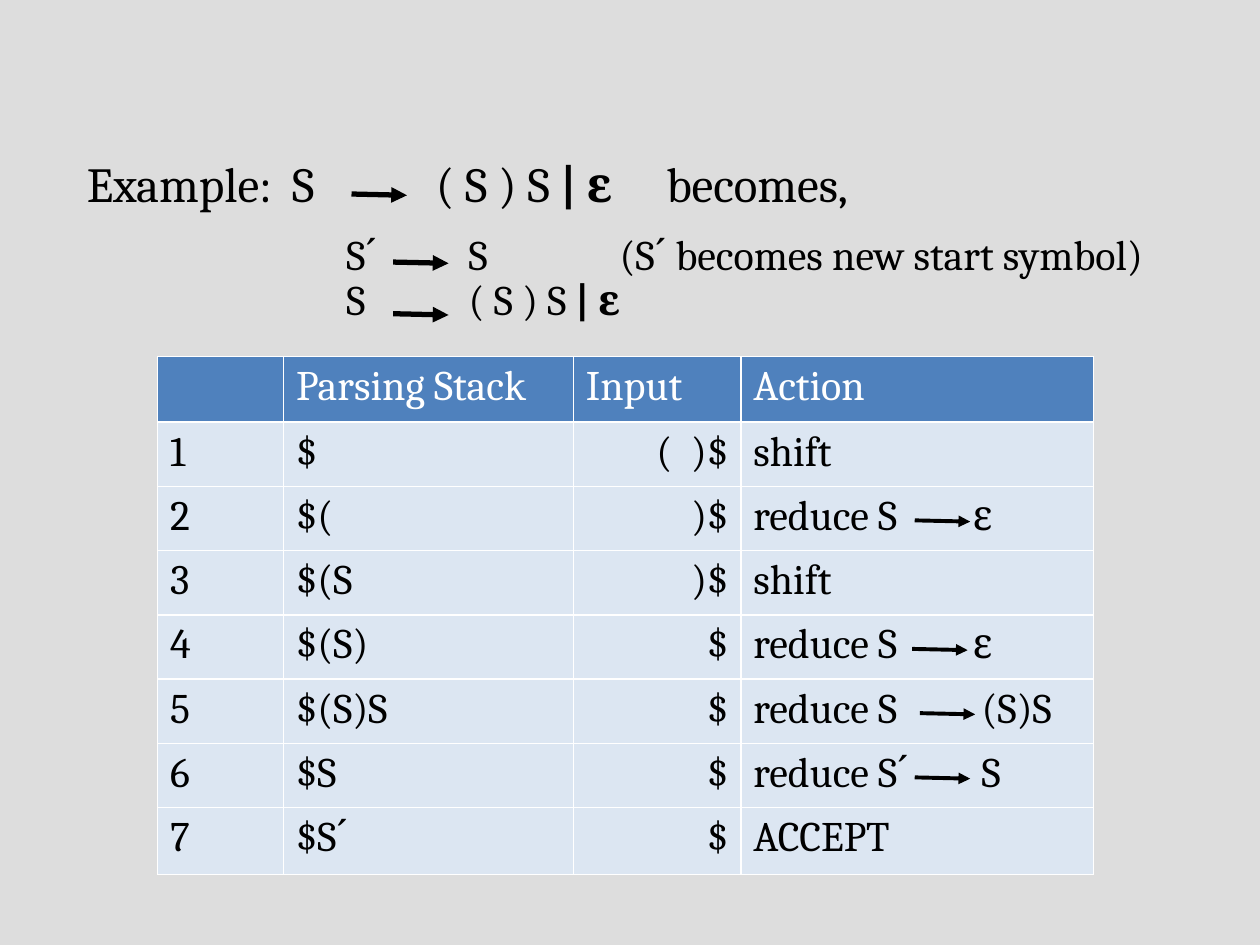
"""Build a slide showing a shift-reduce parse of a small augmented grammar."""
from pptx import Presentation
from pptx.dml.color import RGBColor
from pptx.enum.shapes import MSO_CONNECTOR
from pptx.enum.text import PP_ALIGN
from pptx.oxml.ns import qn
from pptx.util import Inches, Pt
from lxml.etree import SubElement

THEME = {
    "font": "Cambria", "lead": 28, "body": 24,
    "back": RGBColor.from_string("DDDDDD"),
    "head": RGBColor.from_string("4F81BD"),
    "row": RGBColor.from_string("DCE6F2"),
    "white": RGBColor.from_string("FFFFFF"),
    "ink": RGBColor.from_string("000000"),
}

prs = Presentation()
prs.slide_width, prs.slide_height = Inches(10), Inches(7.5)
s = prs.slides.add_slide(prs.slide_layouts[6])
s.background.fill.solid()
s.background.fill.fore_color.rgb = THEME["back"]
unit = prs.slide_width // 100


def style(p, size, color, tabs=()):
    pPr = p._p.get_or_add_pPr()
    if tabs:
        lst = SubElement(pPr, qn("a:tabLst"))
        for stop in tabs:
            SubElement(lst, qn("a:tab"), pos=str(int(stop * unit)), algn="l")
    for r in p.runs:
        r.font.name, r.font.size = THEME["font"], Pt(size)
        r.font.color.rgb = color
        r.font.bold = r.text.startswith("|")


def arrow(x, y, width):
    sp = s.shapes.add_connector(
        MSO_CONNECTOR.STRAIGHT, int(x * unit), int(y * unit),
        int((x + 4.4) * unit), int((y + 0.1) * unit))
    sp.line.color.rgb, sp.line.width = THEME["ink"], Pt(width)
    SubElement(sp.line._get_or_add_ln(), qn("a:tailEnd"), type="triangle")
    SubElement(sp._element.spPr, qn("a:effectLst"))


grammar = [
    (["Example:\tS\t( S ) S ", "| ɛ", "\tbecomes,"], THEME["lead"], (16.3, 27.7, 46), 12),
    (["\tSˊ\tS\t(Sˊ becomes new start symbol)"], THEME["body"], (20.6, 30.3, 42.3), 0),
    (["\tS\t( S ) S ", "| ɛ"], THEME["body"], (20.6, 30.3), 0),
]
sp = s.shapes.add_textbox(*(int(v * unit) for v in (5.9, 12.2, 88.9, 15)))
tf = sp.text_frame
tf.word_wrap = True
for i, (parts, size, tabs, after) in enumerate(grammar):
    p = tf.add_paragraph() if i else tf.paragraphs[0]
    for part in parts:
        p.add_run().text = part
    p.line_spacing, p.space_before, p.space_after = 0.9, Pt(0), Pt(after)
    style(p, size, THEME["ink"], tabs)

for x, y in [(27.9, 15.4), (31.2, 20.8), (31.2, 24.9)]:
    arrow(x, y, 3)

columns = [10, 23, 13.3, 28]
left, top, pitch, height = 12.5, 28.3, 5.1, 5.3
steps = [
    ("", "Parsing Stack", "Input", "Action", None),
    ("1", "$", "(  )$", "shift", None),
    ("2", "$(", ")$", "reduce S\tɛ", 72.6),
    ("3", "$(S", ")$", "shift", None),
    ("4", "$(S)", "$", "reduce S\tɛ", 72.4),
    ("5", "$(S)S", "$", "reduce S\t(S)S", 73),
    ("6", "$S", "$", "reduce Sˊ\tS", 72.6),
    ("7", "$Sˊ", "$", "ACCEPT", None),
]
for i, (*texts, arrow_x) in enumerate(steps):
    y = top + i * pitch + (0.1 if i else 0)
    table = s.shapes.add_table(
        1, len(columns), int(left * unit), int(y * unit),
        int(sum(columns) * unit), int(height * unit)).table
    for j, (text, width) in enumerate(zip(texts, columns)):
        table.columns[j].width = int(width * unit)
        cell = table.cell(0, j)
        cell.fill.solid()
        cell.fill.fore_color.rgb = THEME["row" if i else "head"]
        p = cell.text_frame.paragraphs[0]
        p.text = text
        if i and j == 2:
            p.alignment = PP_ALIGN.RIGHT
        tabs = (17.4 if text.endswith("ɛ") else 18.1,) if "\t" in text else ()
        style(p, THEME["body"], THEME["ink" if i else "white"], tabs)
    if arrow_x:
        arrow(arrow_x, y + 2.7, 2.25)

prs.save("out.pptx")
